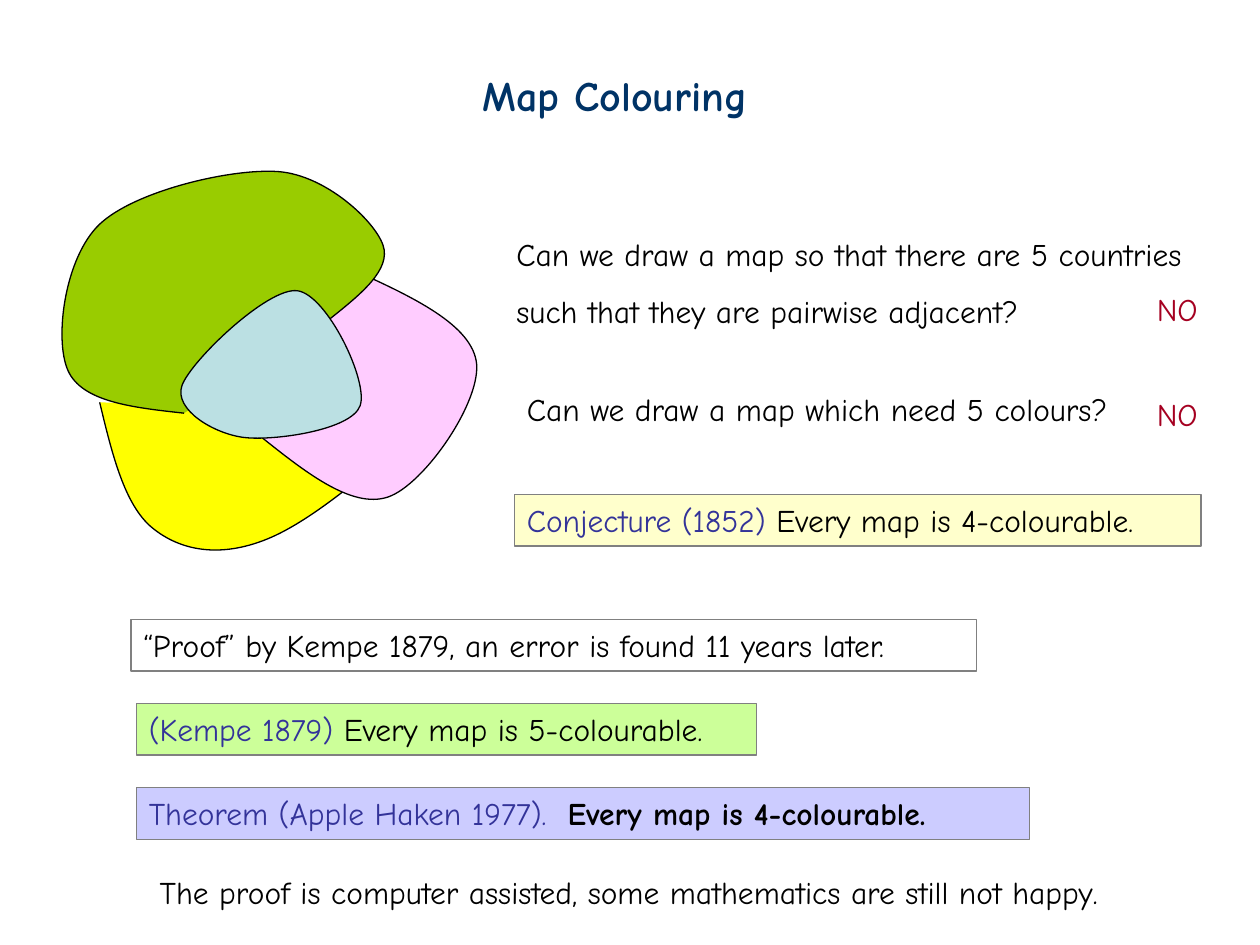
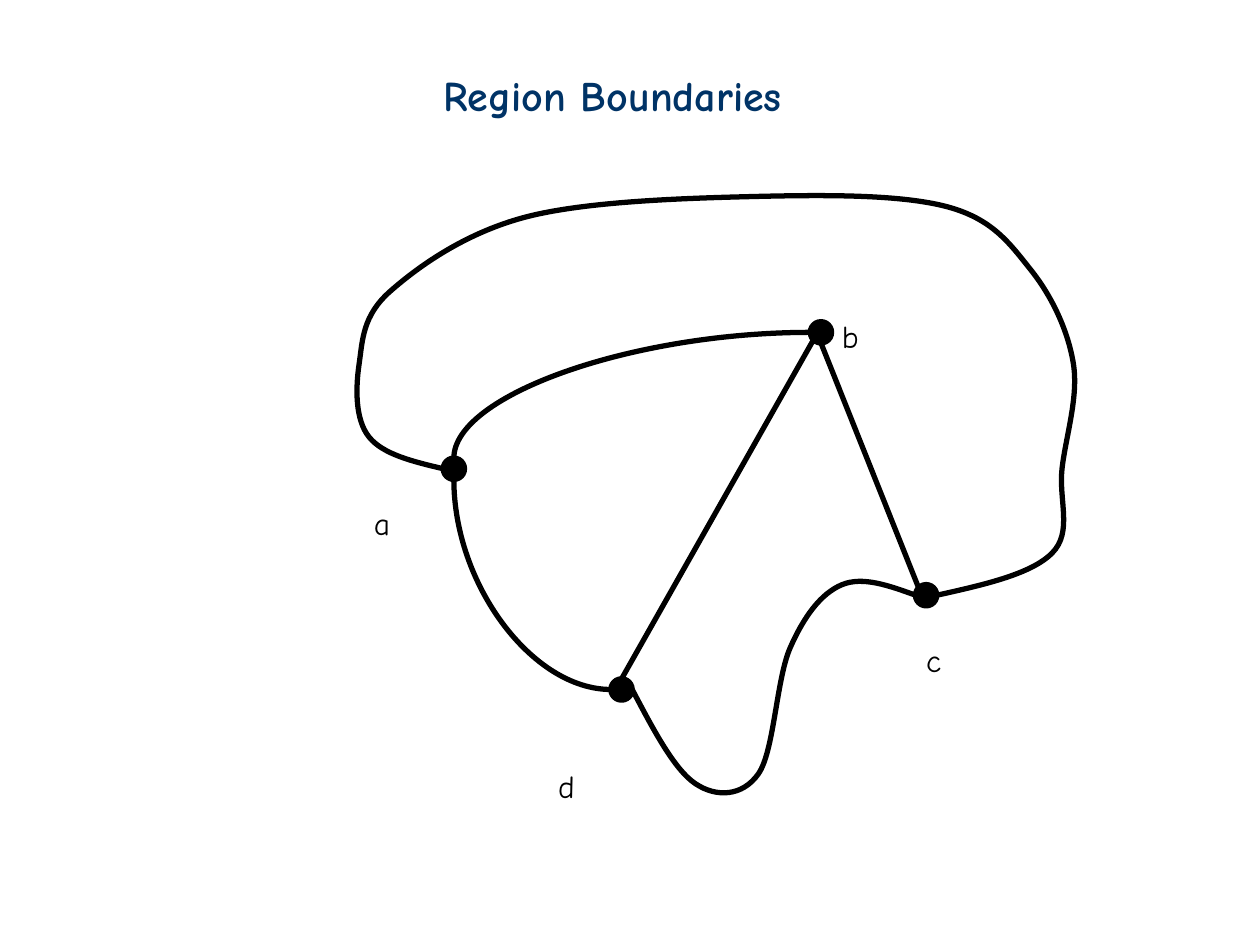
"""Build two slides on map colouring and region boundaries."""
from dataclasses import dataclass
from math import cos, radians, sin

from lxml import etree
from pptx import Presentation
from pptx.dml.color import RGBColor
from pptx.enum.shapes import MSO_CONNECTOR, MSO_SHAPE
from pptx.enum.text import MSO_ANCHOR, MSO_AUTO_SIZE, PP_ALIGN
from pptx.oxml.ns import qn
from pptx.util import Cm, Pt

RECTANGLE, OVAL = MSO_SHAPE.RECTANGLE, MSO_SHAPE.OVAL
STRAIGHT, CURVE = MSO_CONNECTOR.STRAIGHT, MSO_CONNECTOR.CURVE
TOP, LEFT = MSO_ANCHOR.TOP, PP_ALIGN.LEFT
FIT_TEXT = MSO_AUTO_SIZE.SHAPE_TO_FIT_TEXT


@dataclass(frozen=True)
class Theme:
    """Colours, type sizes and line widths of the deck."""
    font: str = "Comic Neue"
    title_size: int = 24
    body_size: int = 18
    thin: float = 0.75
    thick: float = 3
    title: str = "003366"
    ink: str = "000000"
    source: str = "333399"
    answer: str = "A50021"
    frame: str = "808080"
    yellow: str = "FFFF00"
    pink: str = "FFCCFF"
    green: str = "99CC00"
    blue: str = "BBE0E3"
    conjecture: str = "FFFFCC"
    weaker_result: str = "CCFF99"
    theorem: str = "CCCCFF"


THEME = Theme()
TEXT_HEIGHT = 1.02
STATEMENT_HEIGHT = 1.04
VERTEX_SIZE = 0.43

COUNTRIES = [
    (THEME.yellow, False, [(2.01, 8.11), (3.07, 10.64), (5.38, 10.87), (8.79, 8.33)]),
    (THEME.pink, False, [(6.96, 5.37), (9.6, 7.27), (7.82, 10.02), (5.18, 8.74)]),
    (THEME.green, False, [(3.71, 8.33), (1.37, 7.47), (2.01, 4.52),
                          (5.61, 3.46), (7.72, 4.94), (6.65, 6.43)]),
    (THEME.blue, True, [(3.67, 7.77), (5.99, 5.86), (7.26, 8.18), (4.93, 8.82)]),
]

STATEMENTS = [
    (10.37, 9.97, 13.84, THEME.conjecture,
     [("Conjecture (1852)", THEME.source, False),
      (" Every map is 4-colourable.", THEME.ink, False)]),
    (2.64, 12.49, 17.04, None,
     [("“Proof” by Kempe 1879, an error is found 11 years later.", THEME.ink, False)]),
    (2.75, 14.18, 12.5, THEME.weaker_result,
     [("(Kempe 1879)", THEME.source, False),
      (" Every map is 5-colourable.", THEME.ink, False)]),
    (2.75, 15.88, 18.01, THEME.theorem,
     [("Theorem (Apple Haken 1977).  ", THEME.source, False),
      ("Every map is 4-colourable.", THEME.ink, True)]),
]

VERTICES = {"a": (9.15, 9.45), "b": (16.55, 6.7), "c": (18.67, 12), "d": (12.53, 13.9)}
LABELS = {"a": (7.29, 10.03), "b": (16.72, 6.27), "c": (18.42, 12.79), "d": (11, 15.33)}

COAST_D_TO_C = [(14.02, 15.8), (15.29, 15.6), (15.93, 13.06), (16.97, 11.79)]
COAST_A_TO_C = [(7.44, 8.81), (7.24, 7.34), (7.87, 5.87), (10.62, 4.37), (15.29, 3.96),
                (19.1, 4.17), (20.78, 5.44), (21.64, 7.34), (21.41, 9.45), (21.21, 11.15)]


def set_fill(shape, colour):
    """Fill a shape, or leave it open when there is no colour."""
    if colour:
        shape.fill.solid()
        shape.fill.fore_color.rgb = RGBColor.from_string(colour)
    else:
        shape.fill.background()


def set_line(shape, colour, width):
    """Give a shape or connector a solid line."""
    shape.line.color.rgb = RGBColor.from_string(colour)
    shape.line.width = Pt(width)


def style_run(run, colour, size=THEME.body_size, bold=False):
    """Apply the deck font to one run."""
    run.font.name = THEME.font
    run.font.size = Pt(size)
    run.font.bold = bold
    run.font.color.rgb = RGBColor.from_string(colour)


def fit_frame(frame):
    """Set text unwrapped from the top left of its frame."""
    frame.word_wrap = False
    frame.auto_size = FIT_TEXT
    frame.vertical_anchor = TOP
    for paragraph in frame.paragraphs:
        paragraph.alignment = LEFT


def add_titled_slide(deck, title, left, width):
    """Add a title-only slide and format its title."""
    slide = deck.slides.add_slide(deck.slide_layouts[5])
    heading = slide.shapes.title
    heading.left, heading.top = Cm(left), Cm(1.27)
    heading.width, heading.height = Cm(width), Cm(1.27)
    heading.text_frame.text = title
    fit_frame(heading.text_frame)
    style_run(heading.text_frame.paragraphs[0].runs[0], THEME.title, THEME.title_size, True)
    return slide


def add_text(slide, text, left, top, width, height=TEXT_HEIGHT, colour=THEME.ink):
    """Add plain text and return its paragraphs."""
    box = slide.shapes.add_textbox(Cm(left), Cm(top), Cm(width), Cm(height))
    frame = box.text_frame
    frame.text = text
    fit_frame(frame)
    for paragraph in frame.paragraphs:
        style_run(paragraph.runs[0], colour)
    return frame.paragraphs


def add_statement(slide, left, top, width, fill, parts):
    """Add a framed statement made of coloured parts."""
    panel = slide.shapes.add_shape(RECTANGLE, Cm(left), Cm(top), Cm(width), Cm(STATEMENT_HEIGHT))
    panel.shadow.inherit = False
    set_fill(panel, fill)
    set_line(panel, THEME.frame, THEME.thin)
    fit_frame(panel.text_frame)
    for text, colour, bold in parts:
        run = panel.text_frame.paragraphs[0].add_run()
        run.text = text
        style_run(run, colour, bold=bold)


def curve_points(knots, closed):
    """Return the start, then two controls and a knot for each span."""
    knots = [complex(*knot) for knot in knots]
    count = len(knots)
    handles = [(knots[(i + 1) % count] - knots[i - 1]) / 6 for i in range(count)]
    if not closed:
        handles[0] = (knots[1] - handles[1] - knots[0]) / 2
        handles[-1] = (knots[-1] - knots[-2] - handles[-2]) / 2
    points = [knots[0]]
    for i in range(count if closed else count - 1):
        j = (i + 1) % count
        points += [knots[i] + handles[i], knots[j] - handles[j], knots[j]]
    return [(Cm(point.real), Cm(point.imag)) for point in points]


def bend_segments(outline):
    """Turn every three straight segments into one cubic curve."""
    segments = list(outline._element.iter(qn("a:lnTo")))
    for first in range(0, len(segments), 3):
        span = segments[first:first + 3]
        cubic = etree.Element(qn("a:cubicBezTo"))
        span[0].addprevious(cubic)
        for segment in span:
            cubic.append(segment[0])
            segment.getparent().remove(segment)


def add_curve(slide, knots, width, fill=None, closed=False):
    """Draw a smooth outline through the knots."""
    start, *others = curve_points(knots, closed)
    builder = slide.shapes.build_freeform(*start)
    builder.add_line_segments(others, close=closed)
    outline = builder.convert_to_shape()
    bend_segments(outline)
    outline.shadow.inherit = False
    set_fill(outline, fill)
    set_line(outline, THEME.ink, width)


def add_vertex(slide, centre):
    """Draw a black dot around a centre."""
    x, y = centre
    dot = slide.shapes.add_shape(OVAL, Cm(x - VERTEX_SIZE / 2), Cm(y - VERTEX_SIZE / 2),
                                 Cm(VERTEX_SIZE), Cm(VERTEX_SIZE))
    dot.shadow.inherit = False
    set_fill(dot, THEME.ink)
    set_line(dot, THEME.ink, THEME.thick)


def rim(vertex, degrees):
    """Return the point on a vertex rim, clockwise from the right."""
    x, y = VERTICES[vertex]
    angle = radians(degrees)
    return x + VERTEX_SIZE / 2 * cos(angle), y + VERTEX_SIZE / 2 * sin(angle)


def add_edge(slide, start, end, kind=STRAIGHT):
    """Join two points by a line or a quarter curve."""
    edge = slide.shapes.add_connector(kind, *(Cm(length) for length in (*start, *end)))
    set_line(edge, THEME.ink, THEME.thick)
    properties = edge._element.spPr
    if kind == CURVE:
        properties.find(qn("a:prstGeom")).set("prst", "curvedConnector2")
    etree.SubElement(properties, qn("a:effectLst"))


def build_map_colouring(deck):
    """Build the slide on the history of the four colour theorem."""
    slide = add_titled_slide(deck, "Map Colouring", 9.47, 6.17)
    for fill, closed, knots in COUNTRIES:
        add_curve(slide, knots, THEME.thin, fill, closed)
    adjacency = add_text(slide, "Can we draw a map so that there are 5 countries\n"
                         "such that they are pairwise adjacent?", 10.16, 4.61, 15.21, 2.06)
    adjacency[1].line_spacing = 1.5
    add_text(slide, "Can we draw a map which need 5 colours?", 10.37, 7.74, 12.67)
    for top in (5.72, 7.83):
        add_text(slide, "NO", 23.07, top, 1.52, colour=THEME.answer)
    for statement in STATEMENTS:
        add_statement(slide, *statement)
    add_text(slide, "The proof is computer assisted, some mathematics are still not happy.",
             2.97, 17.48, 21.26)


def build_region_boundaries(deck):
    """Build the slide with the boundary graph."""
    slide = add_titled_slide(deck, "Region Boundaries", 8.68, 7.82)
    for centre in VERTICES.values():
        add_vertex(slide, centre)
    add_edge(slide, rim("d", 180), rim("a", 90), CURVE)
    add_edge(slide, rim("b", 180), rim("a", 270), CURVE)
    add_edge(slide, rim("b", 90), rim("c", 225))
    add_edge(slide, rim("b", 135), rim("d", 270))
    add_curve(slide, [rim("d", 0), *COAST_D_TO_C, rim("c", 180)], THEME.thick)
    add_curve(slide, [rim("a", 180), *COAST_A_TO_C, rim("c", 0)], THEME.thick)
    for name, (left, top) in LABELS.items():
        add_text(slide, name, left, top, 0.86)


def main():
    """Build and save the deck."""
    deck = Presentation()
    deck.slide_width, deck.slide_height = Cm(25.4), Cm(19.05)
    build_map_colouring(deck)
    build_region_boundaries(deck)
    deck.save("out.pptx")


if __name__ == "__main__":
    main()
